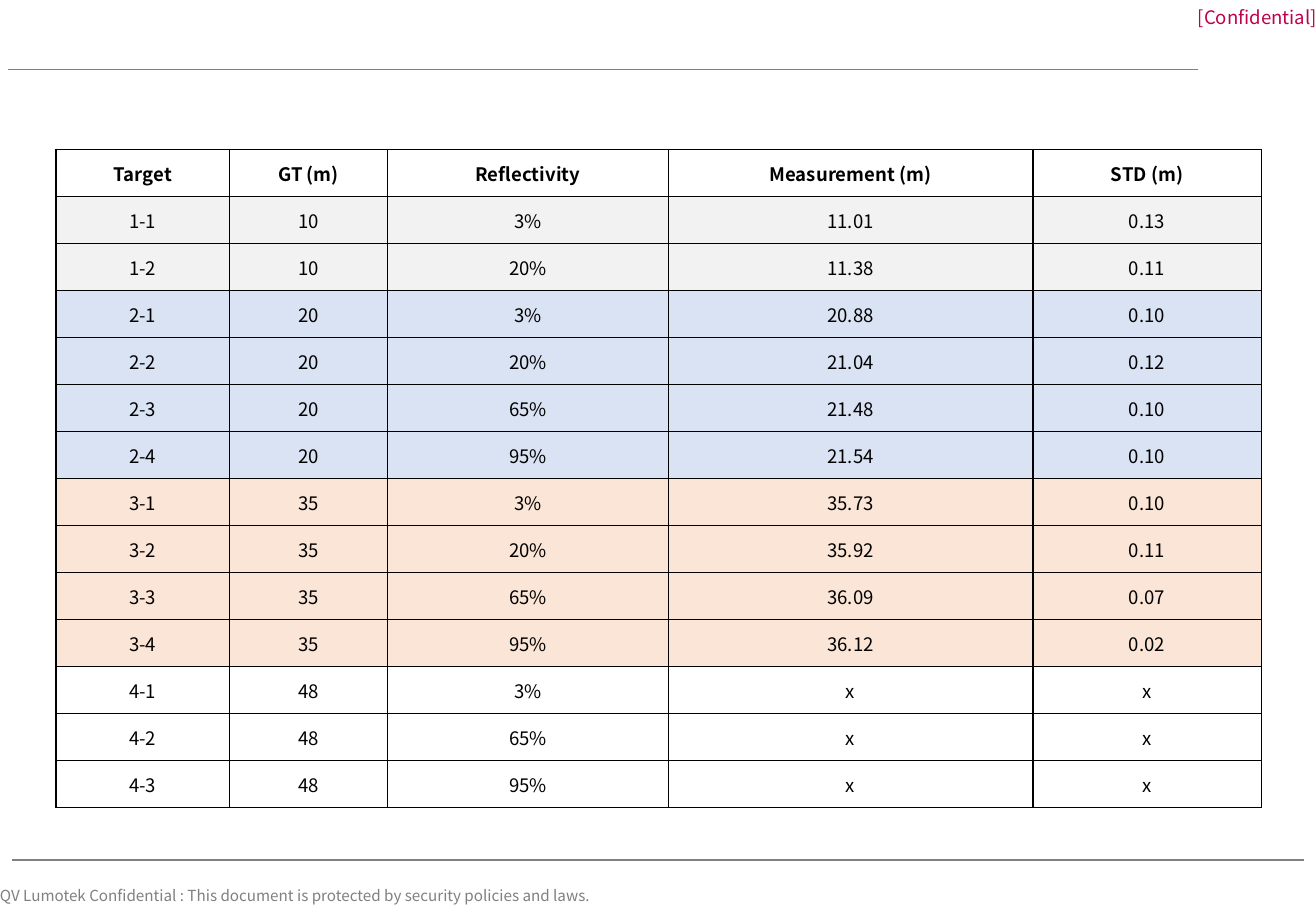
import dataclasses

import lxml.etree
import pptx
import pptx.dml.color
import pptx.enum.shapes
import pptx.enum.text
import pptx.oxml
import pptx.oxml.ns
import pptx.util

Inches = pptx.util.Inches
Pt = pptx.util.Pt
RGB = pptx.dml.color.RGBColor.from_string
ALIGN = pptx.enum.text.PP_ALIGN
MIDDLE = pptx.enum.text.MSO_ANCHOR.MIDDLE


@dataclasses.dataclass(frozen=True)
class Theme:
    font: str = "Noto Sans CJK KR"
    ink: str = "000000"
    muted: str = "808080"
    alert: str = "C0004B"
    plain: str = "FFFFFF"
    near: str = "F2F2F2"
    middle: str = "DAE3F3"
    far: str = "FBE5D6"
    body_size: float = 11
    footer_size: float = 9
    border_width: float = 1


HEADER = ("Target", "GT (m)", "Reflectivity", "Measurement (m)", "STD (m)")
COLUMN_WIDTHS = (1.43, 1.3, 2.31, 3, 1.88)
TABLE_HEIGHT = 5.42

# Ground truth distance, then reflectivity, measurement and deviation per target
TARGET_GROUPS = (
    ("10", "near", (("3%", "11.01", "0.13"), ("20%", "11.38", "0.11"))),
    ("20", "middle", (("3%", "20.88", "0.10"), ("20%", "21.04", "0.12"),
                      ("65%", "21.48", "0.10"), ("95%", "21.54", "0.10"))),
    ("35", "far", (("3%", "35.73", "0.10"), ("20%", "35.92", "0.11"),
                   ("65%", "36.09", "0.07"), ("95%", "36.12", "0.02"))),
    ("48", "plain", (("3%", "x", "x"), ("65%", "x", "x"), ("95%", "x", "x"))),
)


class SlideBuilder:
    def __init__(self, slide, theme):
        self.slide = slide
        self.theme = theme

    def style(self, paragraph, size, color, align, bold=False):
        paragraph.alignment = align
        for run in paragraph.runs:
            run.font.name = self.theme.font
            run.font.size = Pt(size)
            run.font.bold = bold
            run.font.color.rgb = RGB(color)
            east_asian = lxml.etree.SubElement(
                run.font._element, pptx.oxml.ns.qn("a:ea"))
            east_asian.set("typeface", self.theme.font)

    def label(self, text, left, top, width, height, size, color, align):
        """Add a one-line text box without margins."""
        box = self.slide.shapes.add_textbox(
            Inches(left), Inches(top), Inches(width), Inches(height))
        frame = box.text_frame
        frame.margin_left = frame.margin_right = 0
        frame.margin_top = frame.margin_bottom = 0
        frame.vertical_anchor = MIDDLE
        frame.word_wrap = False
        frame.auto_size = pptx.enum.text.MSO_AUTO_SIZE.SHAPE_TO_FIT_TEXT
        frame.text = text
        self.style(frame.paragraphs[0], size, color, align)

    def rule(self, left, right, y, width):
        """Add a horizontal line."""
        line = self.slide.shapes.add_connector(
            pptx.enum.shapes.MSO_CONNECTOR.STRAIGHT,
            Inches(left), Inches(y), Inches(right), Inches(y))
        line.line.color.rgb = RGB(self.theme.muted)
        line.line.width = Pt(width)
        lxml.etree.SubElement(
            line._element.spPr, pptx.oxml.ns.qn("a:effectLst"))

    def cell_borders(self, cell):
        properties = cell._tc.get_or_add_tcPr()
        for index, side in enumerate(("lnL", "lnR", "lnT", "lnB")):
            border = pptx.oxml.parse_xml(
                f'<a:{side} {pptx.oxml.ns.nsdecls("a")} '
                f'w="{Pt(self.theme.border_width)}"><a:solidFill>'
                f'<a:srgbClr val="{self.theme.ink}"/>'
                f'</a:solidFill></a:{side}>')
            properties.insert(index, border)

    def fill_cell(self, cell, text, color, bold):
        cell.fill.solid()
        cell.fill.fore_color.rgb = RGB(color)
        cell.margin_left = cell.margin_right = cell.margin_top = Inches(0.01)
        cell.margin_bottom = 0
        cell.vertical_anchor = MIDDLE
        cell.text_frame.text = text
        self.style(cell.text_frame.paragraphs[0], self.theme.body_size,
                   self.theme.ink, ALIGN.CENTER, bold)
        self.cell_borders(cell)

    def table(self, left, top, height, widths, rows):
        """Add a table from (values, fill colour) rows, the first a header."""
        table = self.slide.shapes.add_table(
            len(rows), len(widths), Inches(left), Inches(top),
            Inches(sum(widths)), Inches(height)).table
        for column, width in zip(table.columns, widths):
            column.width = Inches(width)
        for row_index, (values, color) in enumerate(rows):
            table.rows[row_index].height = Inches(height / len(rows))
            for column_index, text in enumerate(values):
                self.fill_cell(table.cell(row_index, column_index), text,
                               color, bold=row_index == 0)


def measurement_rows(theme):
    """Number the targets by group and pair each row with its fill."""
    rows = [(HEADER, theme.plain)]
    for group, (distance, fill, results) in enumerate(TARGET_GROUPS, 1):
        for number, result in enumerate(results, 1):
            rows.append(((f"{group}-{number}", distance, *result),
                         getattr(theme, fill)))
    return rows


def main():
    theme = Theme()
    deck = pptx.Presentation()
    deck.slide_width = Inches(10.83)
    deck.slide_height = Inches(7.5)
    builder = SlideBuilder(deck.slides.add_slide(deck.slide_layouts[6]), theme)

    builder.label(
        "QV Lumotek Confidential : This document is protected by "
        "security policies and laws.",
        0, 7.25, 5.07, 0.25, theme.footer_size, theme.muted, ALIGN.LEFT)
    builder.label("[Confidential]", 9.52, 0, 1.32, 0.28,
                  theme.body_size, theme.alert, ALIGN.RIGHT)
    builder.rule(0.07, 9.86, 0.57, 0.75)
    builder.rule(0.1, 10.73, 7.08, 1.5)
    builder.table(0.46, 1.23, TABLE_HEIGHT, COLUMN_WIDTHS,
                  measurement_rows(theme))
    deck.save("out.pptx")


if __name__ == "__main__":
    main()
